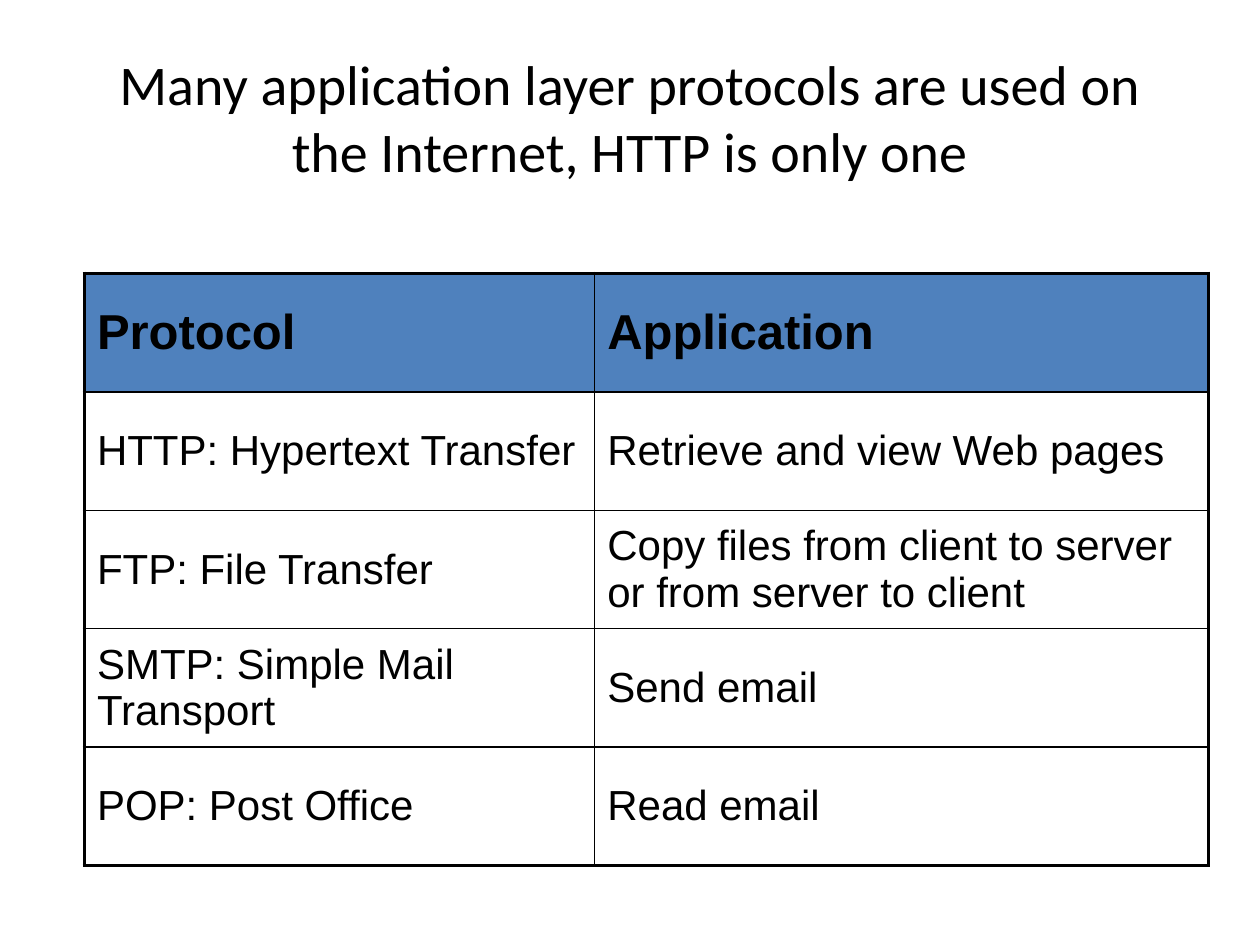
from lxml import etree
from pptx import Presentation
from pptx import util as u
from pptx.dml import color
from pptx.enum import text
from pptx.oxml import ns

COLOURS = {"ink": "000000", "header": "4F81BD"}
TITLE = "Many application layer protocols are used on the Internet, HTTP is only one"
PROTOCOLS = [
    ("Protocol", "Application"),
    ("HTTP: Hypertext Transfer", "Retrieve and view Web pages"),
    ("FTP: File Transfer", "Copy files from client to server or from server to client"),
    ("SMTP: Simple Mail Transport", "Send email"),
    ("POP: Post Office", "Read email"),
]
COLUMN_WIDTHS = (291.6, 350.64)
ROW_HEIGHT = 67.68
OUTER, INNER = 2.25, 1


def rgb(name):
    return color.RGBColor.from_string(COLOURS[name])


def add_run(paragraph, wording, size, font, bold=False):
    run = paragraph.add_run()
    run.text = wording
    run.font.size = u.Pt(size)
    run.font.name = font
    run.font.bold = bold
    run.font.color.rgb = rgb("ink")


def add_title(slide):
    title = slide.shapes.add_textbox(u.Pt(36), u.Pt(21.6), u.Pt(648), u.Pt(90))
    frame = title.text_frame
    frame.word_wrap = True
    frame.vertical_anchor = text.MSO_ANCHOR.MIDDLE
    heading = frame.paragraphs[0]
    heading.alignment = text.PP_ALIGN.CENTER
    add_run(heading, TITLE, 32, "Calibri")


def set_borders(cell, widths):
    properties = cell._tc.get_or_add_tcPr()
    for side, width in zip("LRTB", widths):
        border = etree.SubElement(properties, ns.qn(f"a:ln{side}"), w=str(u.Pt(width)))
        fill = etree.SubElement(border, ns.qn("a:solidFill"))
        etree.SubElement(fill, ns.qn("a:srgbClr"), val=COLOURS["ink"])


def set_space_before(paragraph, percent):
    spacing = etree.SubElement(paragraph._p.get_or_add_pPr(), ns.qn("a:spcBef"))
    etree.SubElement(spacing, ns.qn("a:spcPct"), val=str(percent * 1000))


def fill_cell(cell, wording, is_header):
    cell.vertical_anchor = text.MSO_ANCHOR.MIDDLE
    if is_header:
        cell.fill.solid()
        cell.fill.fore_color.rgb = rgb("header")
    else:
        cell.fill.background()
    entry = cell.text_frame.paragraphs[0]
    set_space_before(entry, 20)
    add_run(entry, wording, 28 if is_header else 24, "Arial", is_header)


def add_protocol_table(slide):
    last_row, last_column = len(PROTOCOLS) - 1, len(COLUMN_WIDTHS) - 1
    table = slide.shapes.add_table(
        len(PROTOCOLS), len(COLUMN_WIDTHS), u.Pt(48.24), u.Pt(156.24),
        u.Pt(sum(COLUMN_WIDTHS)), u.Pt(ROW_HEIGHT * len(PROTOCOLS))).table
    table.first_row = table.horz_banding = False
    for column, width in zip(table.columns, COLUMN_WIDTHS):
        column.width = u.Pt(width)
    for r, entries in enumerate(PROTOCOLS):
        table.rows[r].height = u.Pt(ROW_HEIGHT)
        for c, wording in enumerate(entries):
            cell = table.cell(r, c)
            on_edge = (c == 0, c == last_column, r == 0, r == last_row)
            set_borders(cell, [OUTER if edge else INNER for edge in on_edge])
            fill_cell(cell, wording, r == 0)


def main():
    deck = Presentation()
    deck.slide_width, deck.slide_height = u.Pt(720), u.Pt(540)
    slide = deck.slides.add_slide(deck.slide_layouts[6])
    add_title(slide)
    add_protocol_table(slide)
    deck.save("out.pptx")


if __name__ == "__main__":
    main()
